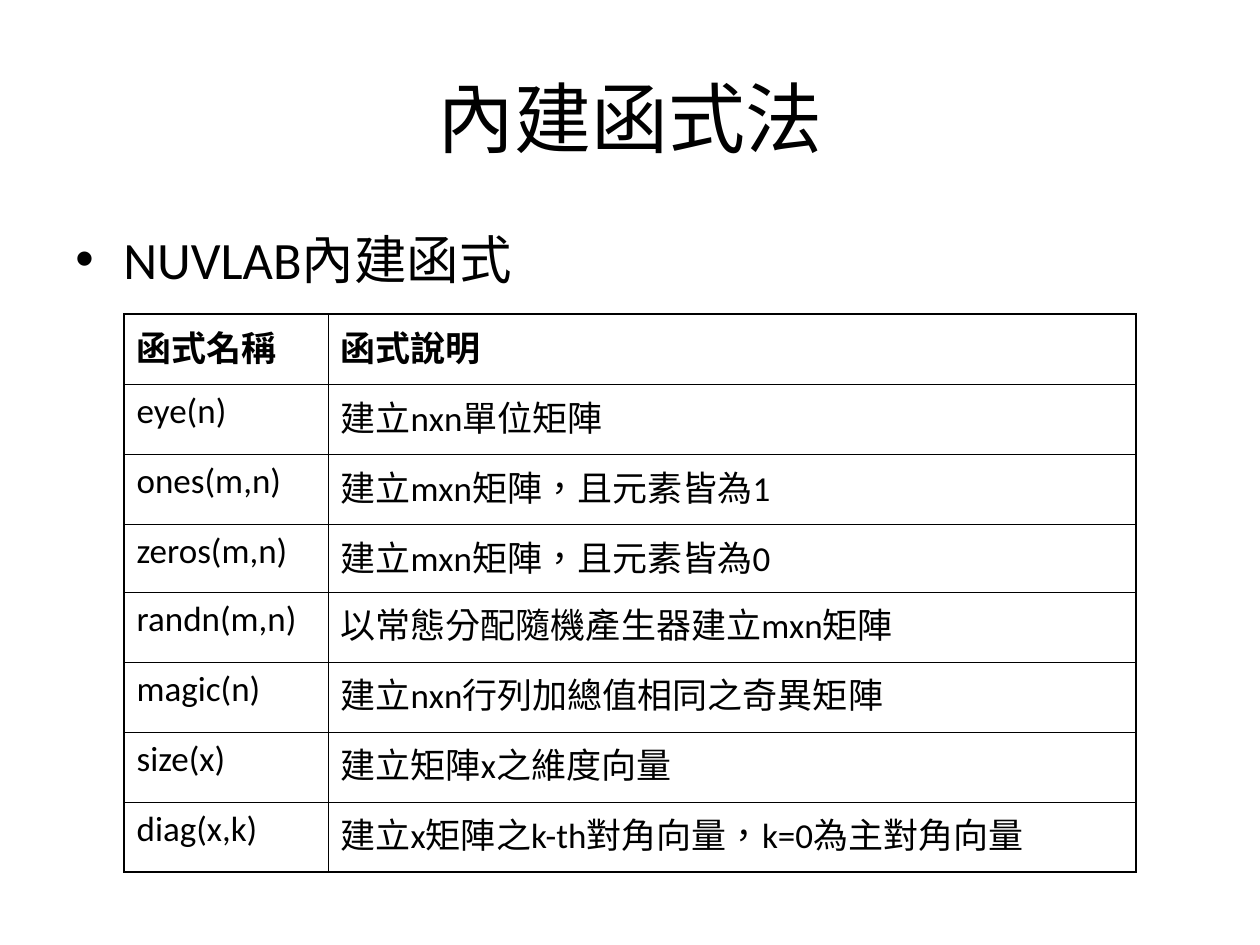
from lxml import etree
from pptx import Presentation
from pptx import util as u
from pptx.dml.color import RGBColor
from pptx.enum import text
from pptx.oxml.ns import qn

SCALE = 914400 / 126
COLORS = {"ink": "000000", "paper": "FFFFFF"}
FONT = "Calibri"
THIN, THICK = 0.45, 1.08


def px(length):
    return round(length * SCALE)


def add_text(paragraph, words, size, bold=False):
    run = paragraph.add_run()
    run.text = words
    run.font.name = FONT
    run.font.size = u.Pt(size)
    run.font.bold = bold
    run.font.color.rgb = RGBColor.from_string(COLORS["ink"])
    run._r.get_or_add_rPr().set("lang", "zh-TW")


presentation = Presentation()
presentation.slide_width = px(1260)
presentation.slide_height = px(945)
slide = presentation.slides.add_slide(presentation.slide_layouts[6])
slide.background.fill.solid()
slide.background.fill.fore_color.rgb = RGBColor.from_string(COLORS["paper"])

title = slide.shapes.add_textbox(px(63), px(38), px(1134), px(157)).text_frame
title.word_wrap = True
title.vertical_anchor = text.MSO_ANCHOR.MIDDLE
title.paragraphs[0].alignment = text.PP_ALIGN.CENTER
add_text(title.paragraphs[0], "內建函式法", 44)

body = slide.shapes.add_textbox(px(63), px(221), px(1134), px(624)).text_frame
body.word_wrap = True
paragraph = body.paragraphs[0]
properties = paragraph._p.get_or_add_pPr()
properties.set("marL", str(px(48)))
properties.set("indent", str(px(-48)))
bullet_color = etree.SubElement(properties, qn("a:buClr"))
etree.SubElement(bullet_color, qn("a:srgbClr"), val=COLORS["ink"])
etree.SubElement(properties, qn("a:buFont"), typeface="Arial")
etree.SubElement(properties, qn("a:buChar"), char="•")
add_text(paragraph, "NUVLAB內建函式", 30)

functions = [
    ("函式名稱", "函式說明"),
    ("eye(n)", "建立nxn單位矩陣"),
    ("ones(m,n)", "建立mxn矩陣，且元素皆為1"),
    ("zeros(m,n)", "建立mxn矩陣，且元素皆為0"),
    ("randn(m,n)", "以常態分配隨機產生器建立mxn矩陣"),
    ("magic(n)", "建立nxn行列加總值相同之奇異矩陣"),
    ("size(x)", "建立矩陣x之維度向量"),
    ("diag(x,k)", "建立x矩陣之k-th對角向量，k=0為主對角向量"),
]
column_widths = [204, 808]
row_heights = [70, 70, 70, 68, 70, 70, 70, 70]
table = slide.shapes.add_table(
    len(functions), len(column_widths), px(124), px(314),
    px(sum(column_widths)), px(sum(row_heights)),
).table
table.first_row = False
table.horz_banding = False
for column, width in zip(table.columns, column_widths):
    column.width = px(width)

last_row, last_column = len(functions) - 1, len(column_widths) - 1
for row_index, entries in enumerate(functions):
    table.rows[row_index].height = px(row_heights[row_index])
    for column_index, words in enumerate(entries):
        cell = table.cell(row_index, column_index)
        cell.margin_left = cell.margin_right = u.Inches(0.1)
        cell.margin_top = cell.margin_bottom = u.Inches(0.05)
        add_text(cell.text_frame.paragraphs[0], words, 20, row_index == 0)
        outer_edges = {
            "a:lnL": column_index == 0,
            "a:lnR": column_index == last_column,
            "a:lnT": row_index == 0,
            "a:lnB": row_index == last_row,
        }
        for edge, is_outer in outer_edges.items():
            width = u.Pt(THICK if is_outer else THIN)
            line = etree.SubElement(cell._tc.get_or_add_tcPr(), qn(edge), w=str(width))
            line_fill = etree.SubElement(line, qn("a:solidFill"))
            etree.SubElement(line_fill, qn("a:srgbClr"), val=COLORS["ink"])
        cell.fill.background()

presentation.save("out.pptx")
